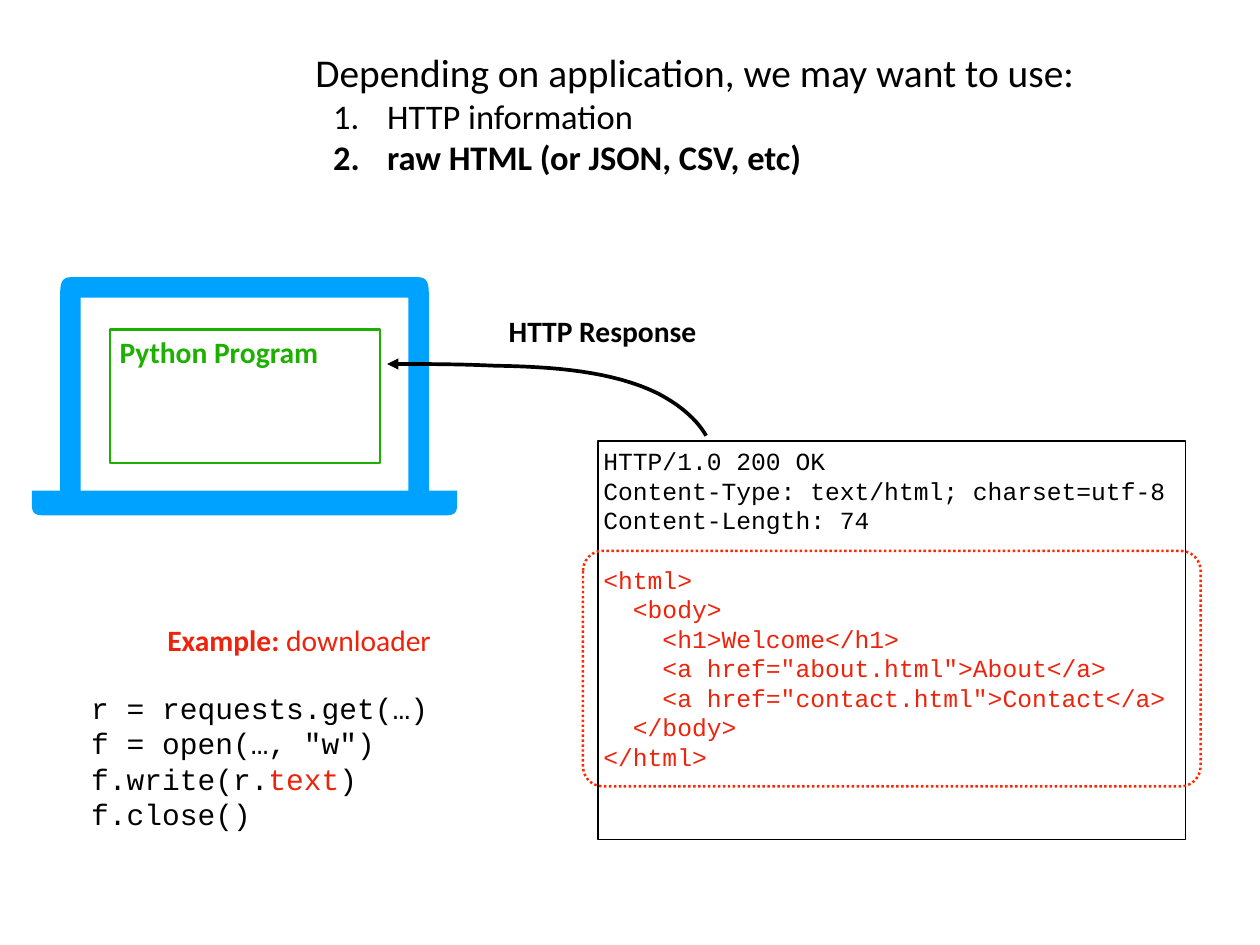
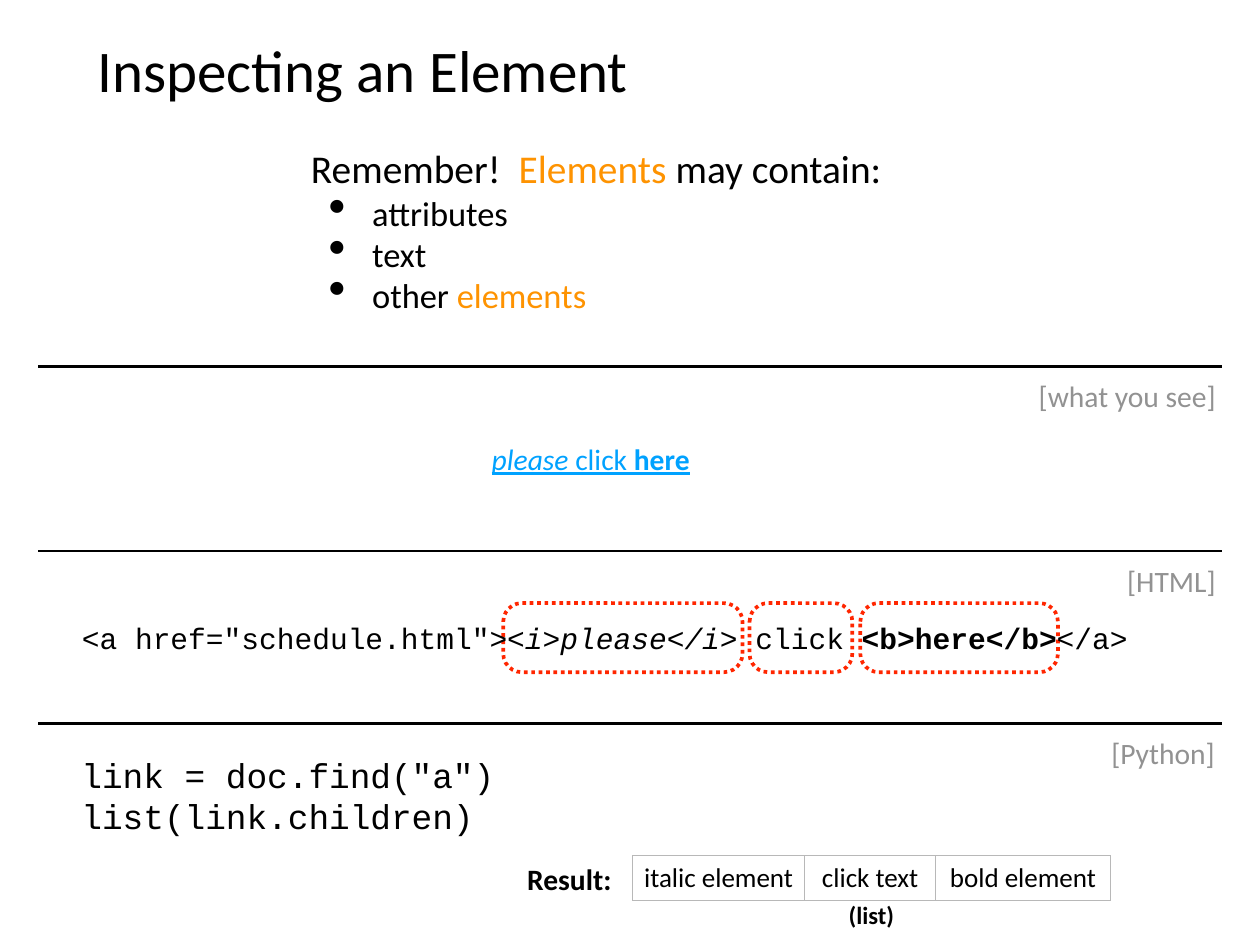
from lxml import etree
from pptx import Presentation
from pptx.dml.color import RGBColor
from pptx.enum.dml import MSO_LINE
from pptx.enum.shapes import MSO_CONNECTOR, MSO_SHAPE
from pptx.enum.text import MSO_ANCHOR, MSO_AUTO_SIZE, PP_ALIGN
from pptx.oxml import parse_xml
from pptx.oxml.ns import qn
from pptx.util import Inches, Pt

RECT, ROUND = MSO_SHAPE.RECTANGLE, MSO_SHAPE.ROUNDED_RECTANGLE
LEFT, MID, RIGHT = PP_ALIGN.LEFT, PP_ALIGN.CENTER, PP_ALIGN.RIGHT
TOP, HALF = MSO_ANCHOR.TOP, MSO_ANCHOR.MIDDLE
GROW, FIXED = MSO_AUTO_SIZE.SHAPE_TO_FIT_TEXT, MSO_AUTO_SIZE.NONE
DOTS = MSO_LINE.ROUND_DOT
STRAIGHT = MSO_CONNECTOR.STRAIGHT
NS = 'xmlns:a="http://schemas.openxmlformats.org/drawingml/2006/main"'
HUES = {
    name: RGBColor.from_string(code)
    for name, code in {
        "black": "000000", "white": "FFFFFF", "blue": "00A2FF",
        "green": "1EB001", "red": "EE230C", "dots": "FF2600",
        "orange": "FE9301", "gray": "929292",
    }.items()
}
EDGE = "B8B8B8"
SANS, MONO = "Calibri", "Courier New"
PAD = Inches(0.06)


def write(shape, rows, size, hue="black", face=SANS, bold=None,
          align=LEFT, anchor=HALF, wrap=False, marks=(), hang=0):
    frame = shape.text_frame
    frame.word_wrap = wrap
    frame.auto_size = FIXED if wrap else GROW
    frame.vertical_anchor = anchor
    frame.margin_left = frame.margin_right = PAD
    frame.margin_top = frame.margin_bottom = PAD
    for i, row in enumerate(rows):
        para = frame.paragraphs[0] if i == 0 else frame.add_paragraph()
        para.alignment = align
        big = size
        if marks and i:
            big = size - 4
            props = para._p.get_or_add_pPr()
            props.set("marL", str(Inches(hang + 0.2)))
            props.set("indent", str(-Inches(hang)))
            for mark in marks:
                props.append(parse_xml(f"<a:{mark} {NS}/>"))
        if face == MONO:
            para.line_spacing = Pt(big * 1.2)
        para.font.size = Pt(big)
        para.font.name = face
        para.font.bold = bold
        para.font.color.rgb = HUES[hue]
        for text, tint, style in [(row, None, "")] if isinstance(row, str) else row:
            run = para.add_run()
            run.text = text
            if tint:
                run.font.color.rgb = HUES[tint]
            if "b" in style:
                run.font.bold = True
            if "i" in style:
                run.font.italic = True
            if "u" in style:
                run.font.underline = True
    return frame


def curve(a, b, c, d, steps=16):
    dots = []
    for i in range(steps + 1):
        t = i / steps
        s = 1 - t
        dots.append(tuple(
            Inches(s**3 * p + 3 * s * s * t * q + 3 * s * t * t * r + t**3 * e)
            for p, q, r, e in zip(a, b, c, d)
        ))
    return dots


deck = Presentation()
deck.slide_width, deck.slide_height = Inches(14.22), Inches(10.67)
blank = deck.slide_layouts[6]
use, inspect = [deck.slides.add_slide(blank) for _ in range(2)]

half = (
    curve((0.8, 3.13), (0.68, 3.13), (0.68, 3.23), (0.68, 3.34))
    + [(Inches(0.68), Inches(5.54)), (Inches(0.36), Inches(5.54))]
    + curve((0.36, 5.69), (0.36, 5.82), (0.41, 5.82), (0.56, 5.82))
)
rim = half + [(Inches(5.52) - x, y) for x, y in reversed(half)]
pen = use.shapes.build_freeform(*rim[0])
pen.add_line_segments(rim[1:], close=True)
hole = [(Inches(x), Inches(y)) for x, y in
        [(0.91, 3.36), (4.61, 3.36), (4.61, 5.54), (0.91, 5.54)]]
pen.move_to(*hole[0])
pen.add_line_segments(hole[1:], close=True)
laptop = pen.convert_to_shape()
laptop.shadow.inherit = False
laptop.fill.solid()
laptop.fill.fore_color.rgb = HUES["blue"]
laptop.line.fill.background()

path = (
    curve((4.37, 4.11), (4.78, 4.11), (5.18, 4.11), (5.59, 4.13))
    + curve((5.59, 4.13), (6.24, 4.14), (6.91, 4.19), (7.42, 4.44))[1:]
    + curve((7.42, 4.44), (7.67, 4.57), (7.86, 4.73), (7.97, 4.92))[1:]
)
pen = use.shapes.build_freeform(*path[0])
pen.add_line_segments(path[1:], close=False)
arrow = pen.convert_to_shape()
arrow.shadow.inherit = False
arrow.fill.background()
arrow.line.color.rgb = HUES["black"]
arrow.line.width = Pt(3)
etree.SubElement(arrow.line._get_or_add_ln(), qn("a:headEnd"), type="triangle")

frames = []
for slide, kind, spot, fill, hue, width, bend in [
    (use, RECT, (6.75, 4.98, 6.63, 4.5), None, "black", 1, 0),
    (use, RECT, (1.24, 3.72, 3.05, 1.51), "white", "green", 2, 0),
    (use, ROUND, (6.58, 6.22, 6.97, 2.66), None, "dots", 2, 0.084),
    (inspect, ROUND, (5.68, 6.81, 2.7, 0.78), None, "dots", 3, 0.268),
    (inspect, ROUND, (8.46, 6.81, 1.16, 0.78), None, "dots", 3, 0.268),
    (inspect, ROUND, (9.71, 6.81, 2.23, 0.78), None, "dots", 3, 0.268),
]:
    frame = slide.shapes.add_shape(kind, *map(Inches, spot))
    frame.shadow.inherit = False
    if fill:
        frame.fill.solid()
        frame.fill.fore_color.rgb = HUES[fill]
    else:
        frame.fill.background()
    frame.line.color.rgb = HUES[hue]
    frame.line.width = Pt(width)
    if kind == ROUND:
        frame.adjustments[0] = bend
        frame.line.dash_style = DOTS
    frames.append(frame)

page = [
    "<html>", "  <body>", "    <h1>Welcome</h1>",
    '    <a href="about.html">About</a>',
    '    <a href="contact.html">Contact</a>', "  </body>", "</html>",
]
reply = write(
    frames[0],
    ["HTTP/1.0 200 OK", "Content-Type: text/html; charset=utf-8",
     "Content-Length: 74"] + page,
    20, face=MONO, anchor=TOP, wrap=True)
for para in reply.paragraphs[3:]:
    para.font.color.rgb = HUES["red"]
reply.paragraphs[3].space_before = Pt(24)

for y in (4.14, 6.22, 8.17):
    rule = inspect.shapes.add_connector(
        STRAIGHT, Inches(0.43), Inches(y), Inches(13.79), Inches(y))
    rule.line.color.rgb = HUES["black"]
    rule.line.width = Pt(2)
    etree.SubElement(rule._element.spPr, qn("a:effectLst"))

tag = dict(size=24, hue="gray", align=RIGHT)
code = dict(size=24, face=MONO)
strong = dict(size=24, bold=True)
texts = []
for slide, spot, rows, look in [
    (use, (5.37, 3.48, 2.86, 0.5), ["HTTP Response"], dict(strong, align=MID)),
    (use, (1.29, 3.72, 2.93, 0.5), ["Python Program"], dict(strong, hue="green")),
    (use, (1.68, 6.97, 3.39, 0.5),
     [[("Example: ", None, "b"), ("downloader", None, "")]],
     dict(size=24, hue="red", align=MID)),
    (use, (0.97, 7.73, 4.13, 1.72),
     ["r = requests.get(…)", 'f = open(…, "w")',
      [("f.write(r.", None, ""), ("text", "red", ""), (")", None, "")],
      "f.close()"], dict(code, anchor=TOP)),
    (inspect, (1.04, 0.28, 12.14, 0.99), ["Inspecting an Element"],
     dict(size=48, wrap=True)),
    (inspect, (0.86, 8.45, 12.5, 1.43),
     ['link = doc.find("a")', "list(link.children)"],
     dict(code, size=28, anchor=TOP, wrap=True)),
    (inspect, (3.45, 1.57, 6.61, 1.94),
     [[("Remember!  ", None, ""), ("Elements", "orange", ""),
       (" may contain:", None, "")],
      "attributes", "text", [("other ", None, ""), ("elements", "orange", "")]],
     dict(size=32, anchor=TOP, hang=0.49,
          marks=['buSzPct val="145000"', 'buChar char="•"'])),
    (inspect, (5.49, 4.93, 2.46, 0.5),
     [[("please", None, "iu"), (" click ", None, "u"), ("here", None, "bu")]],
     dict(size=24, hue="blue")),
    (inspect, (0.86, 6.94, 11.93, 0.51),
     [[('<a href="schedule.html">', None, ""), ("<i>please</i>", None, "i"),
       (" click ", None, ""), ("<b>here</b>", None, "b"), ("</a>", None, "")]],
     dict(code, align=MID)),
    (inspect, (11.65, 4.22, 2.13, 0.5), ["[what you see]"], tag),
    (inspect, (12.56, 6.31, 1.22, 0.5), ["[HTML]"], tag),
    (inspect, (12.48, 8.25, 1.29, 0.5), ["[Python]"], tag),
    (inspect, (5.78, 9.67, 1.29, 0.5), ["Result:"], dict(strong, align=MID)),
    (inspect, (9.45, 10.11, 0.77, 0.43), ["(list)"],
     dict(strong, size=20, align=MID)),
    (use, (3.5, 0.48, 8.7, 1.51),
     ["Depending on application, we may want to use:",
      "HTTP information", "raw HTML (or JSON, CSV, etc)"],
     dict(size=32, anchor=TOP, hang=0.61,
          marks=['buAutoNum type="arabicPeriod"'])),
]:
    box = slide.shapes.add_textbox(*map(Inches, spot))
    texts.append(write(box, rows, **look))
texts[-1].paragraphs[2].font.bold = True

table = inspect.shapes.add_table(
    1, 3, Inches(7.14), Inches(9.66), Inches(5.39), Inches(0.51)).table
table.first_row = table.horz_banding = False
for i, (word, width) in enumerate(
        [("italic element", 1.94), ("click text", 1.48), ("bold element", 1.97)]):
    table.columns[i].width = Inches(width)
    cell = table.cell(0, i)
    cell.text = word
    cell.vertical_anchor = HALF
    cell.margin_left = cell.margin_right = PAD
    cell.margin_top = cell.margin_bottom = PAD
    para = cell.text_frame.paragraphs[0]
    para.alignment = MID
    para.font.size = Pt(22)
    para.font.name = SANS
    para.font.color.rgb = HUES["black"]
    props = cell._tc.get_or_add_tcPr()
    for side in "LRTB":
        props.append(parse_xml(
            f'<a:ln{side} {NS} w="12700"><a:solidFill><a:srgbClr val="{EDGE}"/>'
            f"</a:solidFill></a:ln{side}>"))
    cell.fill.solid()
    cell.fill.fore_color.rgb = HUES["white"]

deck.save("out.pptx")
